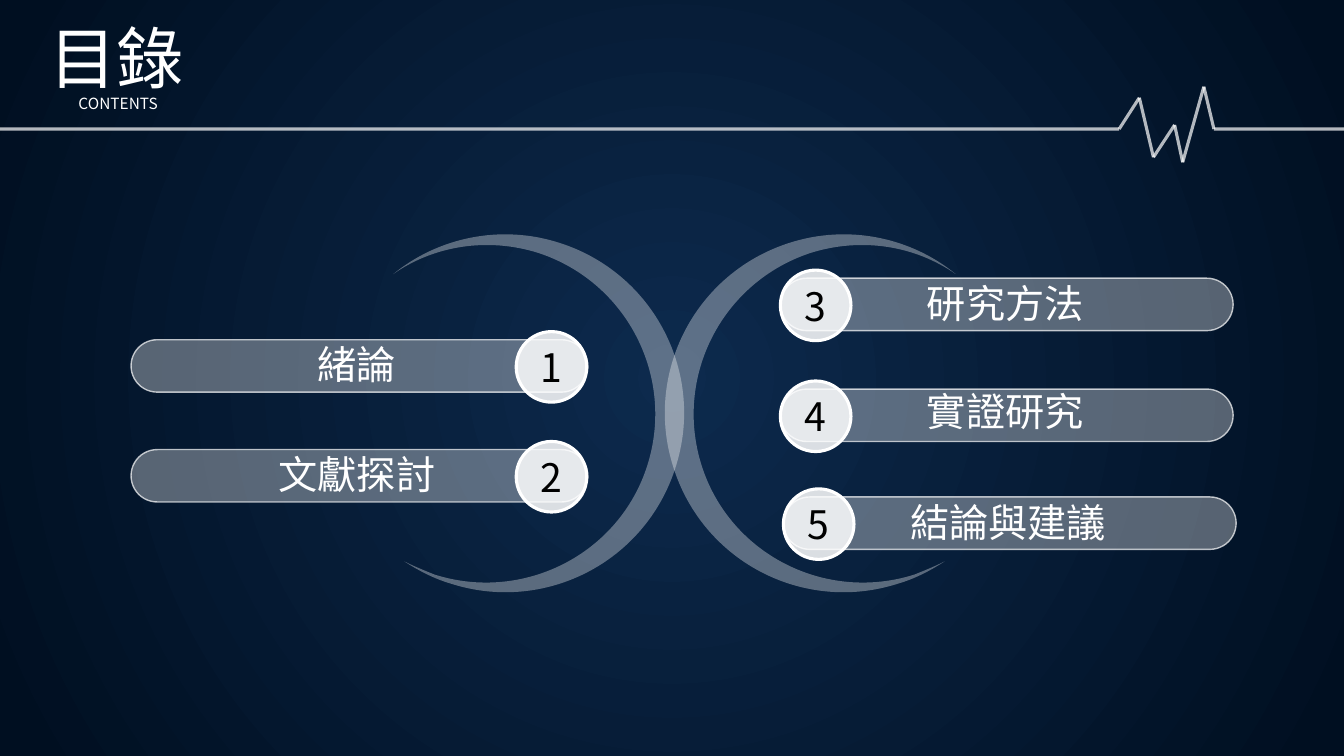
from dataclasses import dataclass
from itertools import pairwise
from math import cos, radians, sin

from lxml.etree import SubElement
from pptx import Presentation
from pptx.dml.color import RGBColor
from pptx.enum.shapes import MSO_CONNECTOR, MSO_SHAPE
from pptx.enum.text import MSO_ANCHOR, MSO_AUTO_SIZE, PP_ALIGN
from pptx.oxml.ns import qn
from pptx.util import Inches, Pt

FONT = "Noto Sans CJK SC"
HEX = {"white": "FFFFFF", "pale": "FCFCFC", "black": "000000",
       "core": "0D2A4D", "edge": "000F21"}
Point = tuple[float, float]


@dataclass
class Topic:
    num: str
    name: str
    left: float
    top: float
    wide: float
    disc: float  # left edge of the number disc
    text: Point  # left and top of the text box


TOPICS = [
    Topic("1", "緒論", 1.3, 3.37, 4.53, 5.12, (1.26, 3.33)),
    Topic("2", "文獻探討", 1.3, 4.46, 4.53, 5.12, (1.26, 4.42)),
    Topic("3", "研究方法", 7.74, 2.76, 4.49, 7.74, (7.69, 2.72)),
    Topic("4", "實證研究", 7.74, 3.86, 4.49, 7.74, (7.69, 3.79)),
    Topic("5", "結論與建議", 7.77, 4.93, 4.49, 7.77, (7.72, 4.89)),
]
PULSE = [(0, 1.28), (11.1, 1.28), (11.3, 0.97), (11.44, 1.56), (11.65, 1.24),
         (11.73, 1.61), (11.94, 0.86), (12.04, 1.28), (13.33, 1.28)]

# Left crescent: a start, then two handles and an end for each curve
CURVES = [
    (5.55, 2.41),
    (6.49, 2.71), (7, 3.71), (6.7, 4.64),
    (6.4, 5.58), (5.4, 6.09), (4.47, 5.79),
    (4.3, 5.74), (4.15, 5.66), (4.01, 5.57),
    (4.11, 5.62), (4.21, 5.66), (4.31, 5.7),
    (5.19, 5.98), (6.14, 5.5), (6.42, 4.62),
    (6.7, 3.74), (6.22, 2.8), (5.34, 2.51),
    (4.83, 2.35), (4.3, 2.44), (3.9, 2.72),
    (4.34, 2.36), (4.96, 2.22), (5.55, 2.41),
]
SIZE = (3.26, 3.55)
ARC_TOP = 2.37
LEFTS = (3.52, 6.6)
TILT = 17.8


def paint(fill, tone: str, alpha: int = 100) -> None:
    fill.solid()
    fill.fore_color.rgb = RGBColor.from_string(HEX[tone])
    if alpha < 100:
        node = fill._xPr.find(f"{qn('a:solidFill')}/{qn('a:srgbClr')}")
        SubElement(node, qn("a:alpha")).set("val", str(alpha * 1000))


def stroke(line, width: float, alpha: int = 100) -> None:
    line.width = Pt(width)
    paint(line.fill, "white", alpha)


def write(frame, words: str, size: int, tone: str = "white",
          align=PP_ALIGN.CENTER) -> None:
    para = frame.paragraphs[0]
    para.alignment = align
    run = para.add_run()
    run.text = words
    run.font.size = Pt(size)
    run.font.name = FONT
    run.font.color.rgb = RGBColor.from_string(HEX[tone])
    SubElement(run.font._element, qn("a:ea")).set("typeface", FONT)


def label(shapes, box: tuple, words: str, size: int, align=PP_ALIGN.CENTER):
    frame = shapes.add_textbox(*map(Inches, box)).text_frame
    frame.word_wrap = True
    frame.auto_size = MSO_AUTO_SIZE.SHAPE_TO_FIT_TEXT
    write(frame, words, size, align=align)
    return frame


def block(shapes, kind, box: tuple, tone: str, alpha: int):
    shape = shapes.add_shape(kind, *map(Inches, box))
    shape.shadow.inherit = False
    paint(shape.fill, tone, alpha)
    return shape


def topic(shapes, item: Topic) -> None:
    bar = block(shapes, MSO_SHAPE.ROUNDED_RECTANGLE,
                (item.left, item.top, item.wide, 0.52), "pale", 34)
    bar.adjustments[0] = 0.5
    stroke(bar.line, 1, 70)
    disc = block(shapes, MSO_SHAPE.OVAL,
                 (item.disc, item.top - 0.08, 0.7, 0.7), "white", 85)
    stroke(disc.line, 2.25)
    disc.text_frame.vertical_anchor = MSO_ANCHOR.MIDDLE
    write(disc.text_frame, item.num, 28, "black")
    label(shapes, (*item.text, 4.56, 0.57), item.name, 28)


def upright(spot: Point) -> Point:
    """Turn a point of the left crescent back by the tilt, within its frame."""
    mid = SIZE[0] / 2, SIZE[1] / 2
    x, y = spot[0] - LEFTS[0] - mid[0], spot[1] - ARC_TOP - mid[1]
    turn = radians(-TILT)
    return (mid[0] + x * cos(turn) - y * sin(turn),
            mid[1] + x * sin(turn) + y * cos(turn))


def crescent(shapes, left: float, flip: bool) -> None:
    spots = [upright(spot) for spot in CURVES]
    if flip:
        spots = [(SIZE[0] - x, y) for x, y in spots]
    spots = [(Inches(x), Inches(y)) for x, y in spots]
    pen = shapes.build_freeform(*spots[0])
    pen.add_line_segments(spots[1:], close=True)
    shape = pen.convert_to_shape()

    # Turn each three segments into one curve
    track = shape._element.find(f".//{qn('a:path')}")
    for node in track.findall(qn("a:lnTo")):
        track.remove(node)
    close = track.find(qn("a:close"))
    track.remove(close)
    start = track.find(f"{qn('a:moveTo')}/{qn('a:pt')}")
    for k, (x, y) in enumerate(spots):
        if k % 3 == 1:
            curve = SubElement(track, qn("a:cubicBezTo"))
        node = SubElement(curve, qn("a:pt")) if k else start
        node.set("x", str(x))
        node.set("y", str(y))
    track.append(close)

    shape.left, shape.top = Inches(left), Inches(ARC_TOP)
    shape.width, shape.height = map(Inches, SIZE)
    track.set("w", str(shape.width))
    track.set("h", str(shape.height))
    shape.rotation = 360 - TILT if flip else TILT
    shape.shadow.inherit = False
    paint(shape.fill, "pale", 34)
    shape.line.fill.background()


def pulse(shapes) -> None:
    for a, b in pairwise(PULSE):
        line = shapes.add_connector(MSO_CONNECTOR.STRAIGHT,
                                    *map(Inches, (*a, *b)))
        stroke(line.line, 2.25, 70)
        SubElement(line._element.spPr, qn("a:effectLst"))


def backdrop(slide) -> None:
    fill = slide.background.fill
    fill.gradient()
    for stop, tone, place in zip(fill.gradient_stops, ("core", "edge"), (0, 0.97)):
        stop.color.rgb = RGBColor.from_string(HEX[tone])
        stop.position = place
    grad = slide.element.find(f".//{qn('a:gradFill')}")
    grad.remove(grad.find(qn("a:lin")))
    ring = SubElement(grad, qn("a:path"))
    ring.set("path", "circle")
    rect = SubElement(ring, qn("a:fillToRect"))
    for side in "ltrb":
        rect.set(side, "50000")


def main() -> None:
    deck = Presentation()
    deck.slide_width, deck.slide_height = Inches(13.33), Inches(7.5)
    slide = deck.slides.add_slide(deck.slide_layouts[6])
    shapes = slide.shapes
    backdrop(slide)

    # Heading and heartbeat rule
    pulse(shapes.add_group_shape().shapes)
    frame = label(shapes, (0.68, 0.86, 4.35, 0.31), "CONTENTS", 11, PP_ALIGN.LEFT)
    frame.paragraphs[0].line_spacing = 1.14
    label(shapes, (0.32, 0.11, 1.68, 0.91), "目錄", 48)

    # Crescents
    for left, flip in zip(LEFTS, (False, True)):
        crescent(shapes, left, flip)

    # Topics
    for item in TOPICS:
        topic(shapes.add_group_shape().shapes, item)

    deck.save("out.pptx")


if __name__ == "__main__":
    main()
